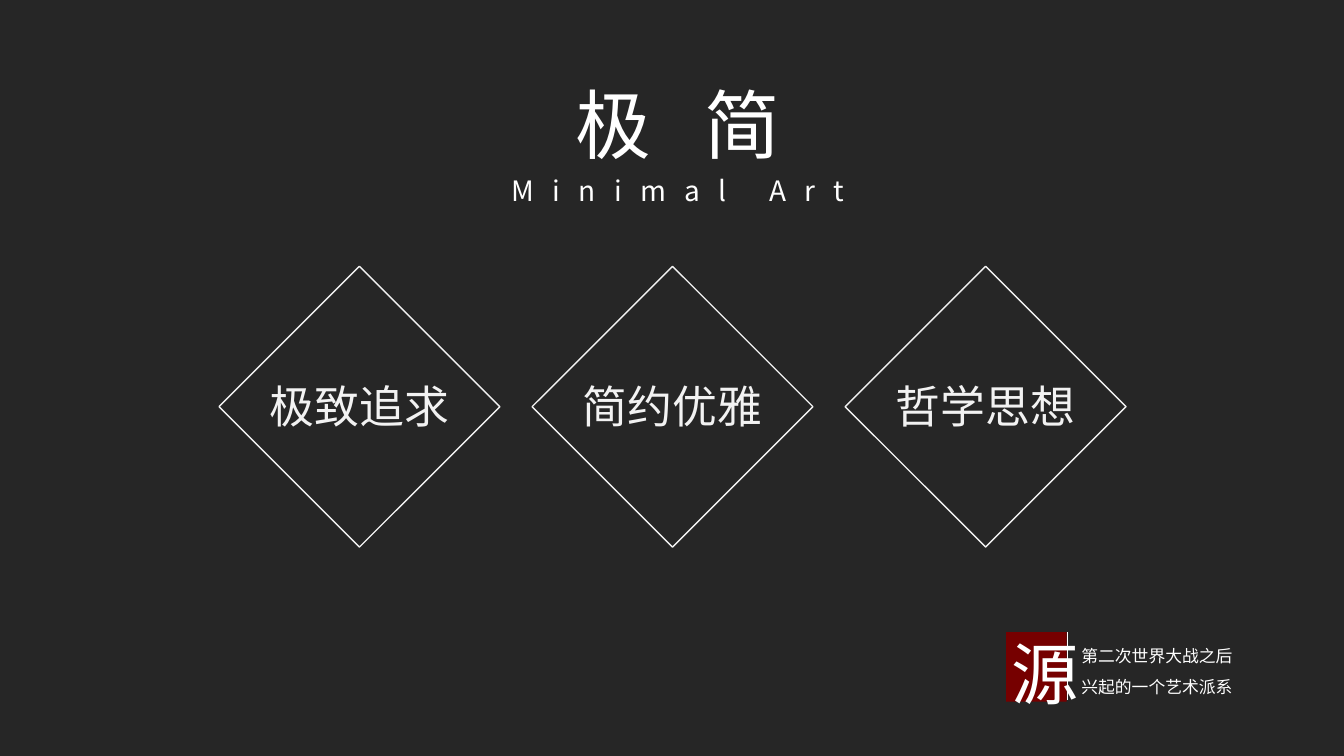
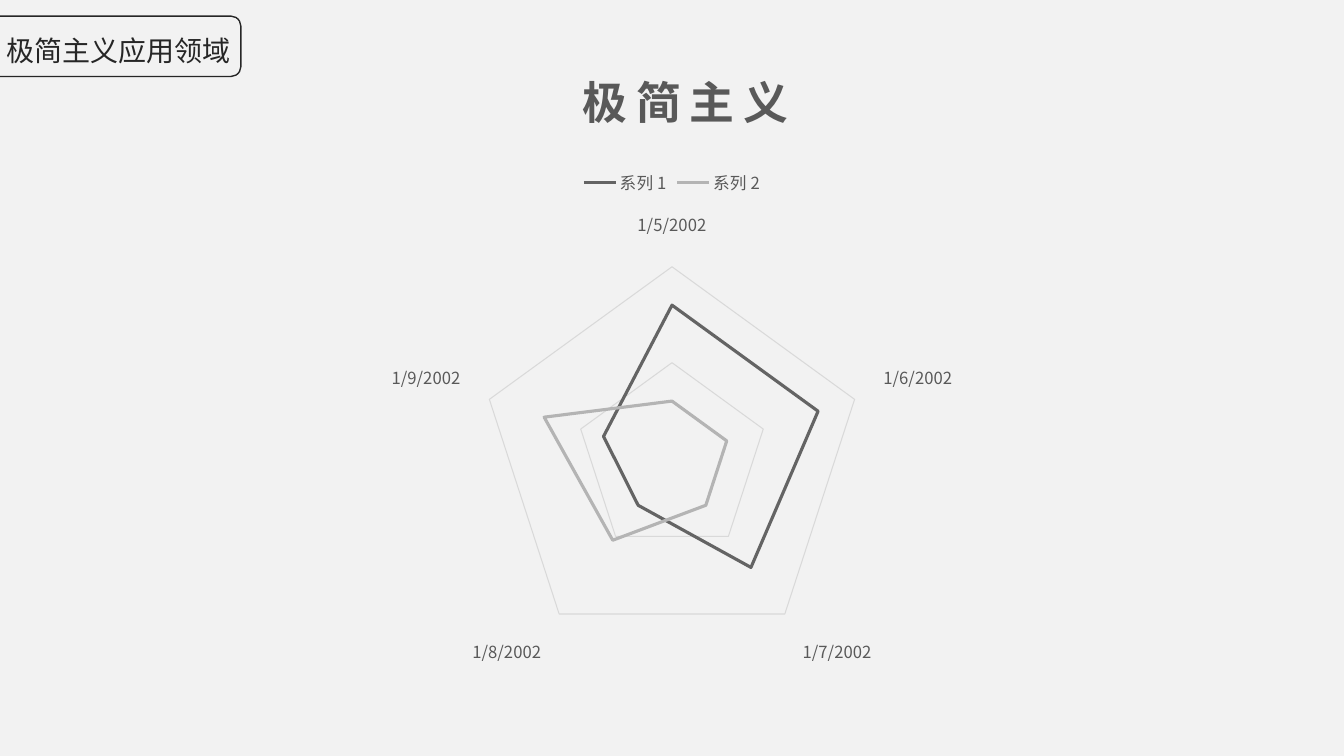
from lxml import etree
from pptx import Presentation
from pptx.chart.data import CategoryChartData
from pptx.dml.color import RGBColor
from pptx.enum.chart import XL_CHART_TYPE as Chart, XL_LEGEND_POSITION as Legend, XL_TICK_MARK as Tick
from pptx.enum.shapes import MSO_CONNECTOR as Connector, MSO_SHAPE as Shape
from pptx.enum.text import MSO_ANCHOR as Anchor, MSO_AUTO_SIZE as AutoSize, PP_ALIGN as Align
from pptx.oxml.ns import qn
from pptx.util import Inches, Pt

# Shared look
FONT = "Noto Sans CJK SC"
DARK, PALE, WHITE, RED = "262626", "F2F2F2", "FFFFFF", "760000"
GREY, GRID = "595959", "D9D9D9"
color = RGBColor.from_string

deck = Presentation()
deck.slide_width, deck.slide_height = Inches(13.33), Inches(7.5)
title_only = deck.slide_layouts[5]


def write(holder, text, size, ink, box=None, spacing=0, bold=False, wrap=True):
    """Fill a shape or chart title with one centred run; return its paragraph."""
    if box:
        holder.left, holder.top, holder.width, holder.height = map(Inches, box)
    frame = holder.text_frame
    if box:
        frame.auto_size = AutoSize.NONE
        frame.word_wrap = wrap
        frame.vertical_anchor = Anchor.TOP
    line = frame.paragraphs[0]
    line.alignment = Align.CENTER
    run = line.add_run()
    run.text = text
    run.font.size, run.font.bold, run.font.name = Pt(size), bold, FONT
    run.font.color.rgb = color(ink)
    props = run.font._element
    etree.SubElement(props, qn("a:ea")).set("typeface", FONT)
    if spacing:
        props.set("spc", str(spacing * 100))
    return line


def outline(slide, kind, box, ink=None, fill=None):
    """Add a flat shape that has either an outline or a fill."""
    shape = slide.shapes.add_shape(kind, *map(Inches, box))
    shape.shadow.inherit = False
    if fill:
        shape.fill.solid()
        shape.fill.fore_color.rgb = color(fill)
        shape.line.fill.background()
    else:
        shape.fill.background()
        shape.line.color.rgb = color(ink)
        shape.line.width = Pt(1)
    return shape


slides = []
for backdrop in (DARK, PALE):
    slide = deck.slides.add_slide(title_only)
    slide.background.fill.solid()
    slide.background.fill.fore_color.rgb = color(backdrop)
    slides.append(slide)
ideas, fields = slides

# Slide 1: heading
write(ideas.shapes.title, "极 简", 54, WHITE, (5.28, 0.72, 2.88, 1.01), spacing=13)
subtitle = ideas.shapes.add_textbox(0, 0, 0, 0)
write(subtitle, "Minimal Art", 20, WHITE, (3.98, 1.67, 5.49, 0.44), spacing=13)

# Three diamonds, evenly spaced about the middle column
SIDE, PITCH, MIDDLE, LABEL = 1.97, 3.105, 6.67, 2.17
for column, idea in enumerate(("极致追求", "简约优雅", "哲学思想")):
    center = MIDDLE + (column - 1) * PITCH
    diamond = outline(ideas, Shape.RECTANGLE, (center - SIDE / 2, 3.05, SIDE, SIDE), PALE)
    diamond.rotation = 45
    label = ideas.shapes.add_textbox(0, 0, 0, 0)
    write(label, idea, 32, PALE, (center - LABEL / 2, 3.71, LABEL, 0.64))

# Origin note: red seal, text, divider, large character
outline(ideas, Shape.RECTANGLE, (9.98, 6.27, 0.6, 0.69), fill=RED)
origin = ideas.shapes.add_textbox(0, 0, 0, 0)
note = write(origin, "第二次世界大战之后兴起的一个艺术派系", 12, WHITE, (10.57, 6.26, 1.81, 0.71))
divider = ideas.shapes.add_connector(
    Connector.STRAIGHT, Inches(10.59), Inches(6.27), Inches(10.59), Inches(6.94))
divider.line.color.rgb = color(WHITE)
divider.line.width = Pt(1)
etree.SubElement(divider._element.spPr, qn("a:effectLst"))
seal = ideas.shapes.add_textbox(0, 0, 0, 0)
source = write(seal, "源", 48, WHITE, (9.93, 6.1, 0.67, 1.03))
for line, leading in ((note, 1.5), (source, 1.15)):
    line.line_spacing, line.space_after = leading, Pt(10)

# Slide 2: radar chart over five days, counted as date serials
WIDE, TALL, DATE = 8.89, 6.23, "m/d/yyyy;@"
scores = CategoryChartData()
scores.categories = range(37261, 37266)
scores.categories.number_format = DATE
scores.add_series("系列 1", (32, 32, 28, 12, 15))
scores.add_series("系列 2", (12, 12, 12, 21, 28))
radar = fields.shapes.add_chart(
    Chart.RADAR, Inches(2.22), Inches(0.48), Inches(WIDE), Inches(TALL), scores).chart
radar.font.name, radar.font.size = FONT, Pt(11.9)
radar.font.color.rgb = color(GREY)

# Chart title, set a little right of centre
heading = radar.chart_title
write(heading, "极简主义", 32, GREY, spacing=6, bold=True)
heading.include_in_layout = False
for unplaced in heading._element.findall(qn("c:layout")):
    heading._element.remove(unplaced)
layout = etree.Element(qn("c:layout"))
place = etree.SubElement(layout, qn("c:manualLayout"))
for tag, value in (("xMode", "edge"), ("yMode", "edge"), ("x", 3.48 / WIDE), ("y", 0.05 / TALL)):
    etree.SubElement(place, qn("c:" + tag)).set("val", str(value))
heading._element.find(qn("c:tx")).addnext(layout)

radar.has_legend = True
radar.legend.position = Legend.TOP
radar.legend.include_in_layout = False
for part in (radar.legend, radar.category_axis.tick_labels):
    part.font.name, part.font.size = FONT, Pt(11.9)
    part.font.color.rgb = color(GREY)

days, scale = radar.category_axis, radar.value_axis
days.major_tick_mark = Tick.NONE
days.tick_labels.number_format = DATE
days.tick_labels.number_format_is_linked = False
scale.minimum_scale, scale.maximum_scale, scale.major_unit = 0, 40, 20
scale.visible = False
for rule in (days.format.line, scale.major_gridlines.format.line):
    rule.color.rgb = color(GRID)
    rule.width = Pt(0.75)

for series, ink in zip(radar.plots[0].series, ("646464", "B4B4B4")):
    series.smooth = False
    series.format.line.color.rgb = color(ink)
    series.format.line.width = Pt(2.25)

# Title tab that runs in from the left edge
outline(fields, Shape.ROUNDED_RECTANGLE, (-0.57, 0.16, 2.96, 0.6), DARK)
write(fields.shapes.title, "极简主义应用领域", 20, DARK, (-0.05, 0.28, 2.45, 0.44), wrap=False)

deck.save("out.pptx")
